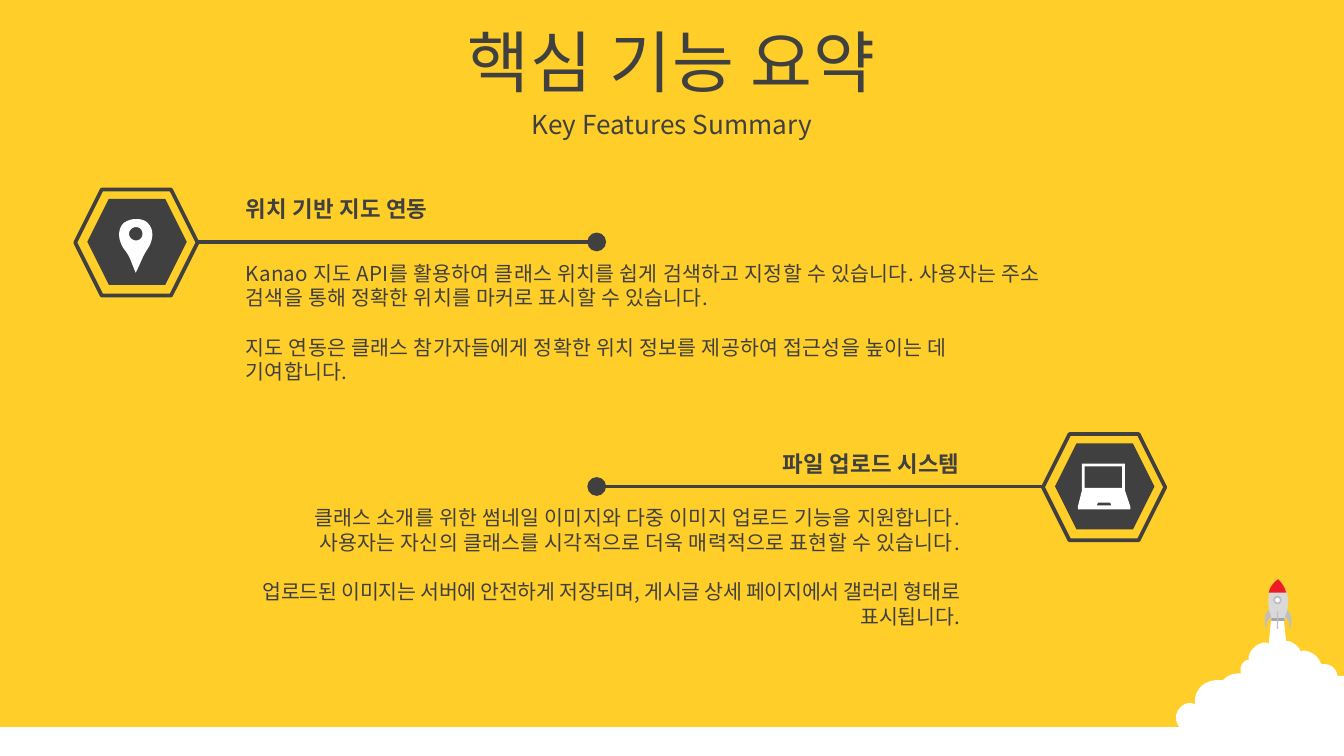
import lxml.etree
import pptx
import pptx.dml.color
import pptx.enum.shapes
import pptx.enum.text
import pptx.oxml.ns
import pptx.util
from dataclasses import dataclass

PX = 9144  # EMU per px, 100 px to the inch
SLIDE_WIDTH = 1000
CURVE_STEPS = 8
SHAPE = pptx.enum.shapes.MSO_SHAPE
ALIGN = pptx.enum.text.PP_ALIGN
ANCHOR = pptx.enum.text.MSO_ANCHOR


@dataclass(frozen=True)
class Theme:
    font: str = "Noto Sans CJK KR"
    yellow: str = "FFCE29"
    dark: str = "404040"
    white: str = "FFFFFF"
    body_grey: str = "D9D9D9"
    fin_grey: str = "BFBFBF"
    base_grey: str = "A6A6A6"
    red: str = "ED1C24"
    title: int = 36
    subtitle: int = 14
    heading: int = 12
    body: int = 11
    leading: float = 1.2
    stroke: int = 2


THEME = Theme()

# Outlines: a pair is a corner, six numbers are a Bezier curve
CLOUD = [
    (946, 459), (955, 459), (957, 477), (959, 477), (962, 478, 965, 480, 967, 483),
    (968, 485), (969, 484), (975, 484, 981, 488, 983, 494), (984, 494),
    (990, 494, 994, 497, 995, 502), (995, 503), (1000, 503), (1000, 561), (893, 561),
    (886, 545), (880, 545, 875, 540, 875, 534), (875, 528, 880, 523, 886, 523),
    (889, 524), (889, 522), (889, 513, 896, 506, 906, 506), (910, 506), (911, 505),
    (914, 502, 918, 501, 923, 501), (923, 498), (923, 495, 925, 492, 928, 491),
    (929, 491), (929, 489), (930, 483, 936, 478, 942, 478), (944, 479),
]
ROCKET_BODY = [(946, 462), (944, 453, 940, 440, 951, 431), (962, 441, 958, 454, 956, 462)]
ROCKET_NOSE = [(951, 431), (954, 434, 956, 437, 957, 441), (944, 441),
               (945, 437, 947, 434, 951, 431)]
LEFT_FIN = [(944, 454), (946, 459), (942, 461, 943, 466, 942, 468),
            (941, 465, 940, 457, 944, 454)]
PIN = [
    [(101, 169), (99, 169, 96, 171, 96, 174), (96, 177, 99, 179, 101, 179),
     (104, 179, 106, 177, 106, 174), (106, 171, 104, 169, 101, 169)],
    [(101, 163), (105, 163, 108, 164, 110, 166), (115, 171, 114, 179, 110, 185),
     (106, 191, 105, 195, 101, 203), (97, 194, 97, 191, 92, 185),
     (88, 179, 87, 171, 92, 166), (95, 164, 98, 163, 101, 163)],
]
LAPTOP = [
    [(817, 374), (816, 376), (827, 376), (826, 374)],
    [(807, 347), (807, 363), (835, 363), (835, 347)],
    [(805, 345), (837, 345), (837, 365), (841, 377), (841, 379),
     (802, 379), (802, 377), (805, 365)],
]


def rgb(color):
    return pptx.dml.color.RGBColor.from_string(color)


def paint(sp, fill, line=None, width=1):
    sp.shadow.inherit = False
    sp.fill.solid()
    sp.fill.fore_color.rgb = rgb(fill)
    if line:
        sp.line.color.rgb = rgb(line)
        sp.line.width = pptx.util.Pt(width)
    else:
        sp.line.fill.background()


def add_shape(s, kind, box, fill, line=None, width=1):
    sp = s.shapes.add_shape(kind, *(v * PX for v in box))
    paint(sp, fill, line, width)


def flatten(outline):
    """Turn corners and Bezier curves into points in EMU."""
    points = []
    for step in outline:
        if len(step) == 2:
            points.append(step)
            continue
        a, b, c, d = points[-1], step[:2], step[2:4], step[4:]
        for i in range(1, CURVE_STEPS + 1):
            t = i / CURVE_STEPS
            u = 1 - t
            points.append(tuple(
                u**3 * a[k] + 3 * u * u * t * b[k] + 3 * u * t * t * c[k] + t**3 * d[k]
                for k in (0, 1)))
    return [(round(x * PX), round(y * PX)) for x, y in points]


def add_outline(s, outlines, fill):
    paths = [flatten(o) for o in outlines]
    builder = s.shapes.build_freeform(*paths[0][0], scale=1.0)
    for i, points in enumerate(paths):
        if i:
            builder.move_to(*points[0])
        builder.add_line_segments(points[1:], close=True)
    paint(builder.convert_to_shape(), fill)


def mirror(outline, axis):
    return [tuple(2 * axis - v if i % 2 == 0 else v for i, v in enumerate(step))
            for step in outline]


def add_text(s, box, paragraphs, size, align=ALIGN.LEFT, bold=False,
             anchor=ANCHOR.TOP, tracking=0, gap_before=None, last_tracking=None):
    """Write paragraphs; tracking is in hundredths of a point."""
    tf = s.shapes.add_textbox(*(v * PX for v in box)).text_frame
    tf.word_wrap = True
    tf.vertical_anchor = anchor
    line = pptx.util.Pt(size * THEME.leading)
    for i, text in enumerate(paragraphs):
        p = tf.paragraphs[0] if i == 0 else tf.add_paragraph()
        p.alignment = align
        p.line_spacing = line
        if i == gap_before:
            p.space_before = line
        r = p.add_run()
        r.text = text
        r.font.size = pptx.util.Pt(size)
        r.font.bold = bold
        r.font.name = THEME.font
        r.font.color.rgb = rgb(THEME.dark)
        props = r.font._element
        ea = lxml.etree.SubElement(props, pptx.oxml.ns.qn("a:ea"))
        ea.set("typeface", THEME.font)
        is_last = i == len(paragraphs) - 1
        spacing = last_tracking if is_last and last_tracking is not None else tracking
        if spacing:
            props.set("spc", str(spacing))


def add_dotted_line(s, x1, x2, y):
    """Draw a level line that ends in a round dot."""
    line = s.shapes.add_connector(pptx.enum.shapes.MSO_CONNECTOR.STRAIGHT,
                                  x1 * PX, y * PX, x2 * PX, y * PX)
    line.line.color.rgb = rgb(THEME.dark)
    line.line.width = pptx.util.Pt(THEME.stroke)
    tail = lxml.etree.SubElement(line.line._get_or_add_ln(), pptx.oxml.ns.qn("a:tailEnd"))
    for key, value in (("type", "oval"), ("w", "lg"), ("len", "lg")):
        tail.set(key, value)
    lxml.etree.SubElement(line._element.spPr, pptx.oxml.ns.qn("a:effectLst"))


def add_badge(s, left, top, icon):
    add_shape(s, SHAPE.HEXAGON, (left, top, 91, 79), THEME.yellow, THEME.dark, THEME.stroke)
    add_shape(s, SHAPE.HEXAGON, (left + 9, top + 7, 74, 64), THEME.dark)
    add_outline(s, icon, THEME.white)


def add_rocket(s):
    add_outline(s, [CLOUD], THEME.white)
    add_outline(s, [ROCKET_BODY], THEME.body_grey)
    add_shape(s, SHAPE.RECTANGLE, (946, 460, 10, 2), THEME.base_grey)
    add_outline(s, [ROCKET_NOSE], THEME.red)
    add_shape(s, SHAPE.OVAL, (948, 444, 5, 5), THEME.white, THEME.fin_grey)
    add_shape(s, SHAPE.RECTANGLE, (950, 455, 1, 13), THEME.fin_grey)
    for fin in (LEFT_FIN, mirror(LEFT_FIN, 951)):
        add_outline(s, [fin], THEME.fin_grey)


def main():
    prs = pptx.Presentation()
    prs.slide_width = SLIDE_WIDTH * PX
    prs.slide_height = prs.slide_width * 9 // 16
    s = prs.slides.add_slide(prs.slide_layouts[6])
    s.background.fill.solid()
    s.background.fill.fore_color.rgb = rgb(THEME.yellow)

    # Ground and rocket
    add_shape(s, SHAPE.RECTANGLE, (0, 541, SLIDE_WIDTH, 24), THEME.white)
    add_rocket(s)

    # Titles
    centred = dict(align=ALIGN.CENTER, anchor=ANCHOR.MIDDLE)
    add_text(s, (0, 14, SLIDE_WIDTH, 63), ["핵심 기능 요약"], THEME.title,
             tracking=54, **centred)
    add_text(s, (0, 77, SLIDE_WIDTH, 31), ["Key Features Summary"], THEME.subtitle, **centred)

    # Map feature
    add_dotted_line(s, 147, 444, 180)
    add_badge(s, 56, 141, PIN)
    add_text(s, (173, 140, 631, 30), ["위치 기반 지도 연동"], THEME.heading,
             bold=True, tracking=10)
    add_text(s, (173, 189, 611, 84), [
        "Kanao 지도 API를 활용하여 클래스 위치를 쉽게 검색하고 지정할 수 있습니다. "
        "사용자는 주소 검색을 통해 정확한 위치를 마커로 표시할 수 있습니다.",
        "지도 연동은 클래스 참가자들에게 정확한 위치 정보를 제공하여 접근성을 높이는 데 기여합니다.",
    ], THEME.body, tracking=13, gap_before=1)

    # Upload feature
    add_dotted_line(s, 775, 444, 362)
    add_badge(s, 776, 323, LAPTOP)
    add_text(s, (113, 330, 611, 30), ["파일 업로드 시스템"], THEME.heading,
             align=ALIGN.RIGHT, bold=True, tracking=10)
    add_text(s, (113, 371, 611, 84), [
        "클래스 소개를 위한 썸네일 이미지와 다중 이미지 업로드 기능을 지원합니다.",
        "사용자는 자신의 클래스를 시각적으로 더욱 매력적으로 표현할 수 있습니다.",
        "업로드된 이미지는 서버에 안전하게 저장되며, 게시글 상세 페이지에서 갤러리 형태로 표시됩니다.",
    ], THEME.body, align=ALIGN.RIGHT, tracking=13, gap_before=2, last_tracking=-17)

    prs.save("out.pptx")


if __name__ == "__main__":
    main()
